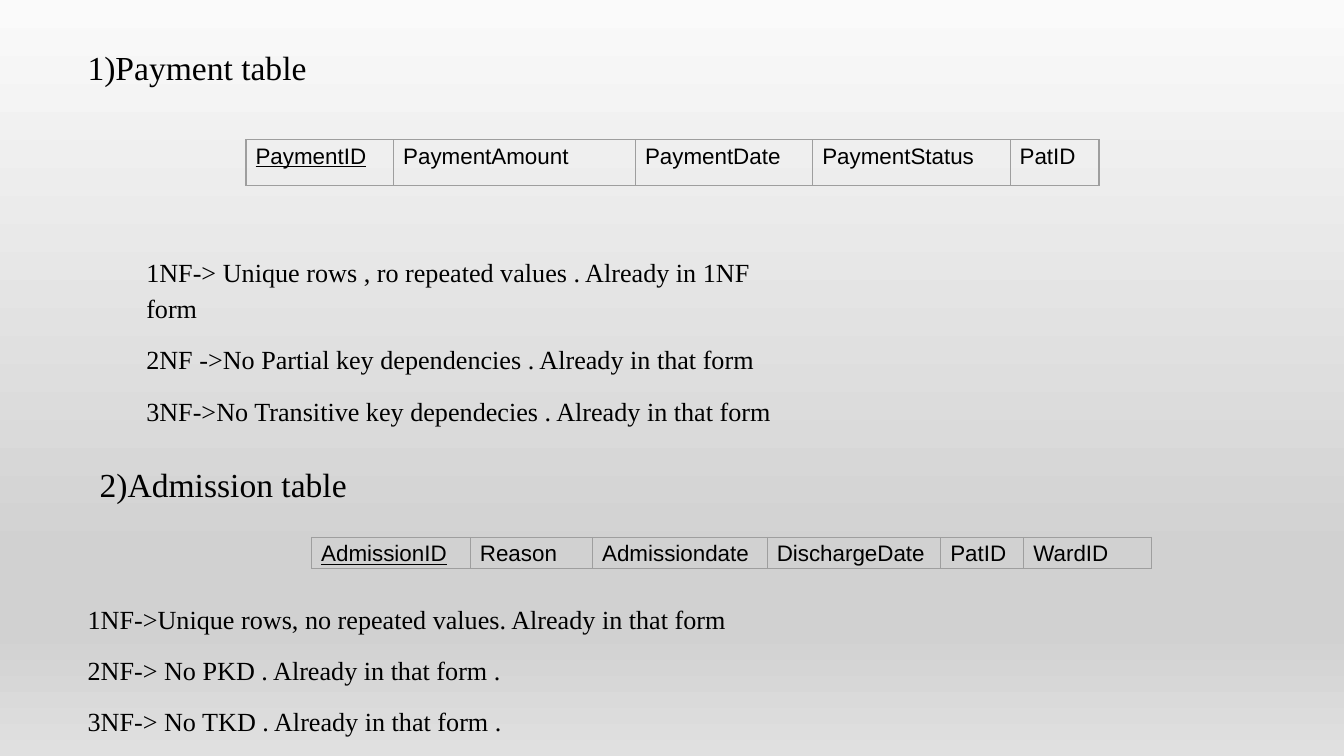
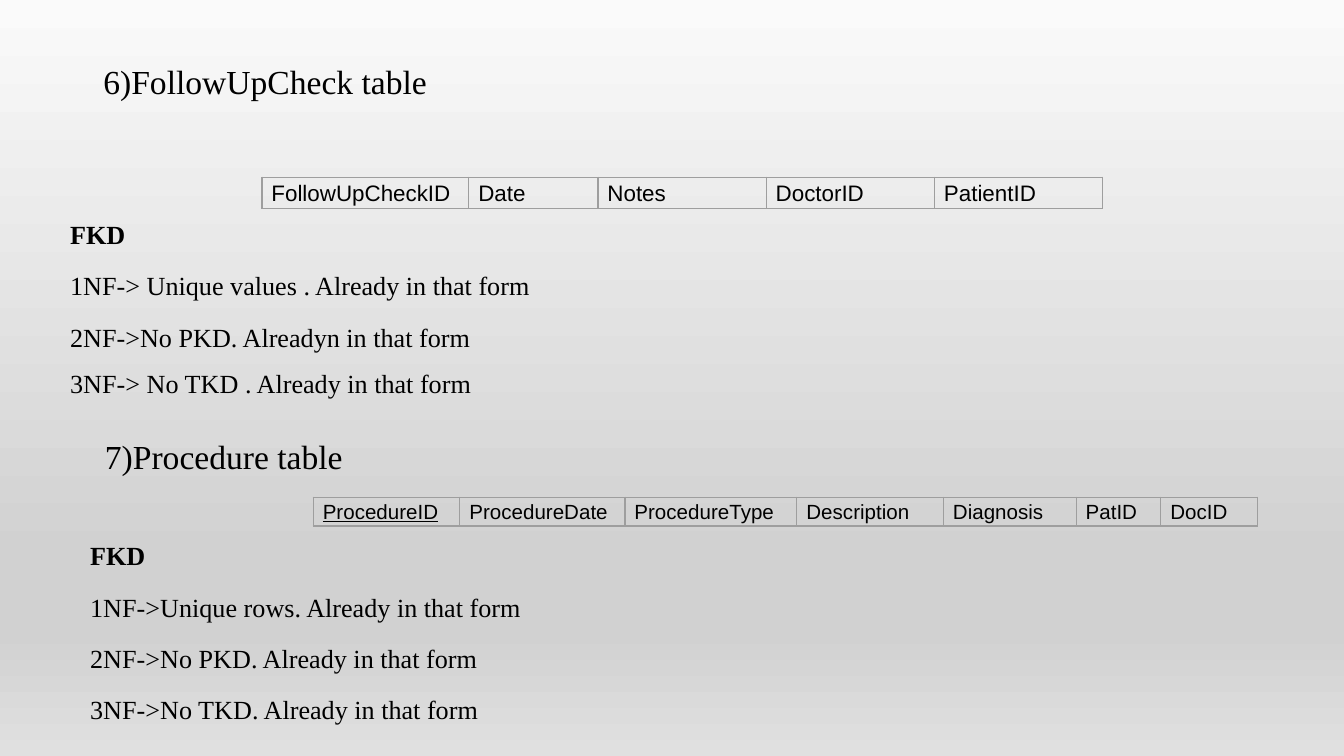
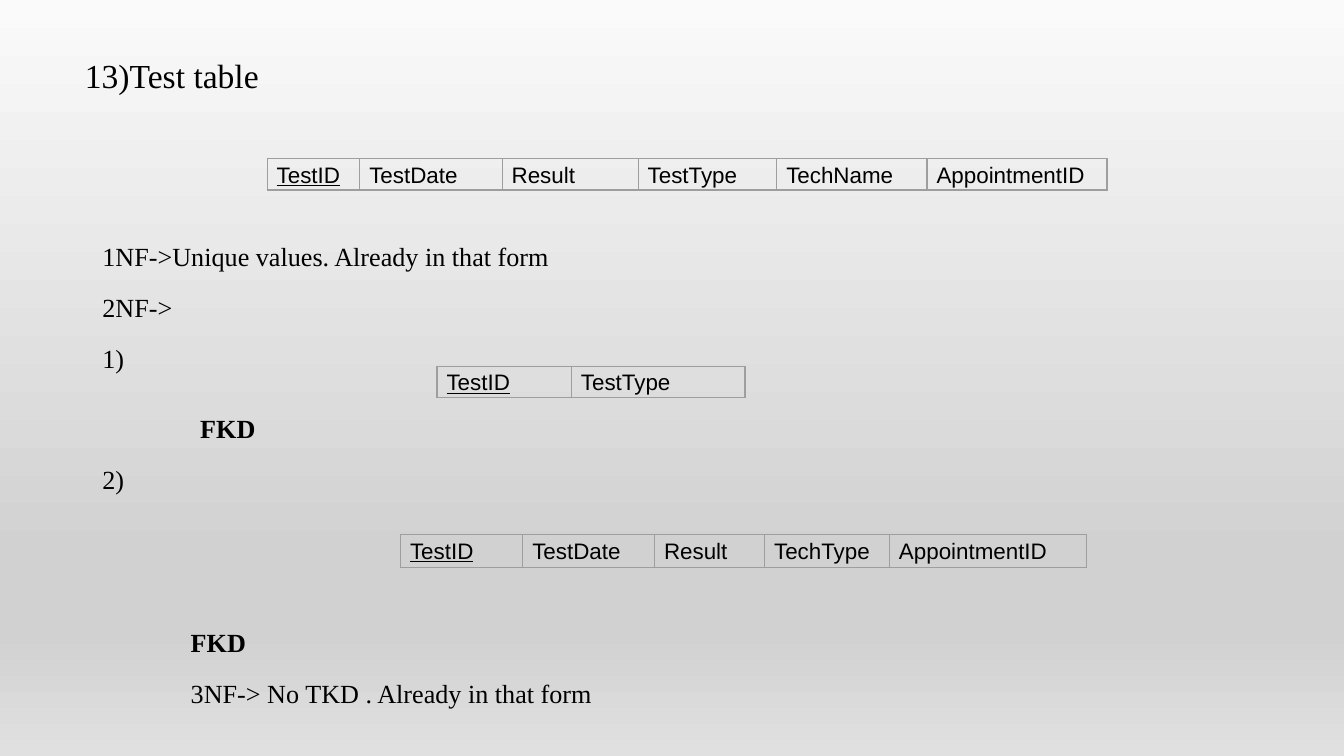
from dataclasses import dataclass
from typing import Any

import pptx
import pptx.dml.color
import pptx.enum.text
import pptx.oxml
import pptx.oxml.ns
import pptx.util
from pptx.util import Cm

INK = "000000"
BORDER = "9E9E9E"
BACKGROUND_STOPS = ((0, "FAFAFA"), (74, "D1D1D1"), (83, "D1D1D1"), (100, "E0E0E0"))
TEXT_FONT = "Times New Roman"
TABLE_FONT = "Arial"
HEADING_SIZE = 18
LIST_SIZE = 14
LINE_SPACING = 1.16
COMPARISON_LAYOUT = 4


@dataclass(frozen=True)
class Line:
    text: str
    bold: bool = False
    indent: float = 0
    line_spacing: float = LINE_SPACING
    space_after: float = 8


@dataclass(frozen=True)
class TextBlock:
    """Lines of text in a frame measured in centimetres."""
    left: float
    top: float
    width: float
    height: float
    lines: tuple[Line, ...]
    size: int = LIST_SIZE
    wrap: bool = True


@dataclass(frozen=True)
class Schema:
    """One table row of attributes, each with its column width in centimetres."""
    left: float
    top: float
    columns: dict[str, float]
    height: float = 0.53
    size: int = 12
    key_underlined: bool = True


@dataclass(frozen=True)
class SlideContent:
    texts: tuple[TextBlock, ...]
    schemas: tuple[Schema, ...]


def heading(left: float, top: float, width: float, text: str) -> TextBlock:
    return TextBlock(left, top, width, 1.09, (Line(text),), HEADING_SIZE, False)


def lines(*texts: str) -> tuple[Line, ...]:
    return tuple(Line(text) for text in texts)


FKD = Line("FKD", bold=True)

SLIDES = (
    SlideContent(
        texts=(
            heading(1.4, 0.64, 4.7, "1)Payment table"),
            TextBlock(2.51, 4.62, 13, 3.56, lines(
                "1NF-> Unique rows , ro repeated values . Already in 1NF form",
                "2NF ->No Partial key dependencies . Already in that form",
                "3NF->No Transitive key dependecies . Already in that form")),
            heading(1.63, 8.53, 6.07, "2)Admission table"),
            TextBlock(1.4, 11.18, 12.7, 2.87, lines(
                "1NF->Unique rows, no repeated values. Already in that form",
                "2NF-> No PKD . Already in that form .",
                "3NF-> No TKD . Already in that form .")),
        ),
        schemas=(
            Schema(4.65, 2.64, {"PaymentID": 2.79, "PaymentAmount": 4.57, "PaymentDate": 3.35,
                                "PaymentStatus": 3.73, "PatID": 1.68}, height=0.86),
            Schema(5.89, 10.16, {"AdmissionID": 3, "Reason": 2.31, "Admissiondate": 3.3,
                                 "DischargeDate": 3.28, "PatID": 1.57, "WardID": 2.41}),
        ),
    ),
    SlideContent(
        texts=(
            heading(1.7, 0.91, 6.86, "6)FollowUpCheck table"),
            TextBlock(1.07, 3.91, 12.22, 3.78, (
                FKD,
                *lines("1NF-> Unique values . Already in that form",
                       "2NF->No PKD. Alreadyn in that form"),
                Line("3NF-> No TKD . Already in that form", line_spacing=1.0, space_after=0))),
            heading(1.73, 8, 5.05, "7)Procedure table"),
            TextBlock(1.45, 9.98, 12.7, 3.84, (
                FKD,
                *lines("1NF->Unique rows. Already in that form",
                       "2NF->No PKD. Already in that form",
                       "3NF->No TKD. Already in that form"))),
        ),
        schemas=(
            Schema(4.95, 3.35, {"FollowUpCheckID": 3.91, "Date": 2.44, "Notes": 3.18,
                                "DoctorID": 3.18, "PatientID": 3.18}, key_underlined=False),
            Schema(5.92, 9.4, {"ProcedureID": 2.77, "ProcedureDate": 3.12, "ProcedureType": 3.25,
                               "Description": 2.77, "Diagnosis": 2.51, "PatID": 1.6,
                               "DocID": 1.83}, height=0.28, size=11),
        ),
    ),
    SlideContent(
        texts=(
            heading(1.35, 0.79, 4.04, "13)Test table"),
            TextBlock(1.68, 4.32, 12.7, 2.87, lines(
                "1NF->Unique values. Already in that form", "2NF->", "1)")),
            TextBlock(1.68, 7.57, 12.7, 1.88, (
                Line("FKD", bold=True, indent=1.85), Line("2)"))),
            TextBlock(3.35, 11.61, 12.7, 1.88, (
                FKD, Line("3NF-> No TKD . Already in that form"))),
        ),
        schemas=(
            Schema(5.05, 3, {"TestID": 1.75, "TestDate": 2.69, "Result": 2.57,
                             "TestType": 2.62, "TechName": 2.84, "AppointmentID": 3.4}),
            Schema(8.26, 6.93, {"TestID": 2.54, "TestType": 3.28}),
            Schema(7.57, 10.11, {"TestID": 2.31, "TestDate": 2.49, "Result": 2.08,
                                 "TechType": 2.36, "AppointmentID": 3.73}, height=0.61),
        ),
    ),
)


def colour(hex_value: str) -> pptx.dml.color.RGBColor:
    return pptx.dml.color.RGBColor.from_string(hex_value)


def apply_format(target: Any, values: dict[str, Any]) -> None:
    for name, value in values.items():
        setattr(target, name, value)


def drawing_element(xml: str) -> Any:
    """Parse one element of the DrawingML namespace, written with prefix a."""
    namespace = pptx.oxml.ns.nsdecls("a")
    return pptx.oxml.parse_xml(f"<a:root {namespace}>{xml}</a:root>")[0]


def write_run(paragraph: Any, text: str, font: str, size: int, **style: bool) -> None:
    run = paragraph.add_run()
    run.text = text
    apply_format(run.font, {"name": font, "size": pptx.util.Pt(size), **style})
    run.font.color.rgb = colour(INK)


def paint_background(master: Any) -> None:
    fill = master.background.fill
    fill.gradient()
    fill.gradient_angle = 270
    stops = master.element.find(".//" + pptx.oxml.ns.qn("a:gsLst"))
    stops.clear()
    for percent, hex_value in BACKGROUND_STOPS:
        stops.append(drawing_element(
            f'<a:gs pos="{percent * 1000}"><a:srgbClr val="{hex_value}"/></a:gs>'))


def fill_placeholder(shape: Any, block: TextBlock) -> None:
    apply_format(shape, {"left": Cm(block.left), "top": Cm(block.top),
                         "width": Cm(block.width), "height": Cm(block.height)})
    frame = shape.text_frame
    apply_format(frame, {
        "word_wrap": block.wrap,
        "auto_size": pptx.enum.text.MSO_AUTO_SIZE.SHAPE_TO_FIT_TEXT,
        "vertical_anchor": pptx.enum.text.MSO_ANCHOR.TOP,
    })
    for index, line in enumerate(block.lines):
        paragraph = frame.add_paragraph() if index else frame.paragraphs[0]
        properties = paragraph._p.get_or_add_pPr()
        properties.set("marL", str(Cm(line.indent)))
        properties.set("indent", "0")
        properties.append(drawing_element("<a:buNone/>"))
        apply_format(paragraph, {
            "alignment": pptx.enum.text.PP_ALIGN.LEFT,
            "line_spacing": line.line_spacing,
            "space_before": pptx.util.Pt(0),
            "space_after": pptx.util.Pt(line.space_after),
        })
        write_run(paragraph, line.text, TEXT_FONT, block.size, bold=line.bold)


def draw_borders(cell: Any) -> None:
    properties = cell._tc.get_or_add_tcPr()
    for side in "LRTB":
        properties.append(drawing_element(
            f'<a:ln{side} w="{pptx.util.Pt(0.75)}"><a:solidFill>'
            f'<a:srgbClr val="{BORDER}"/></a:solidFill></a:ln{side}>'))


def add_schema(slide: Any, schema: Schema) -> None:
    table = slide.shapes.add_table(
        1, len(schema.columns), Cm(schema.left), Cm(schema.top),
        Cm(sum(schema.columns.values())), Cm(schema.height)).table
    apply_format(table, {"first_row": False, "horz_banding": False})
    for index, (name, width) in enumerate(schema.columns.items()):
        table.columns[index].width = Cm(width)
        cell = table.cell(0, index)
        apply_format(cell, {"margin_left": Cm(0.18), "margin_right": Cm(0.18),
                            "margin_top": 0, "margin_bottom": 0})
        draw_borders(cell)
        cell.fill.background()
        paragraph = cell.text_frame.paragraphs[0]
        paragraph.line_spacing = LINE_SPACING
        write_run(paragraph, name, TABLE_FONT, schema.size,
                  underline=schema.key_underlined and index == 0)


def add_slide(presentation: Any, content: SlideContent) -> None:
    slide = presentation.slides.add_slide(presentation.slide_layouts[COMPARISON_LAYOUT])
    placeholders = list(slide.placeholders)
    for shape, block in zip(placeholders, content.texts):
        fill_placeholder(shape, block)
    for shape in placeholders[len(content.texts):]:
        shape.element.getparent().remove(shape.element)
    for schema in content.schemas:
        add_schema(slide, schema)


def main() -> None:
    presentation = pptx.Presentation()
    apply_format(presentation, {"slide_width": Cm(25.4), "slide_height": Cm(14.29)})
    paint_background(presentation.slide_master)
    for content in SLIDES:
        add_slide(presentation, content)
    presentation.save("out.pptx")


if __name__ == "__main__":
    main()
